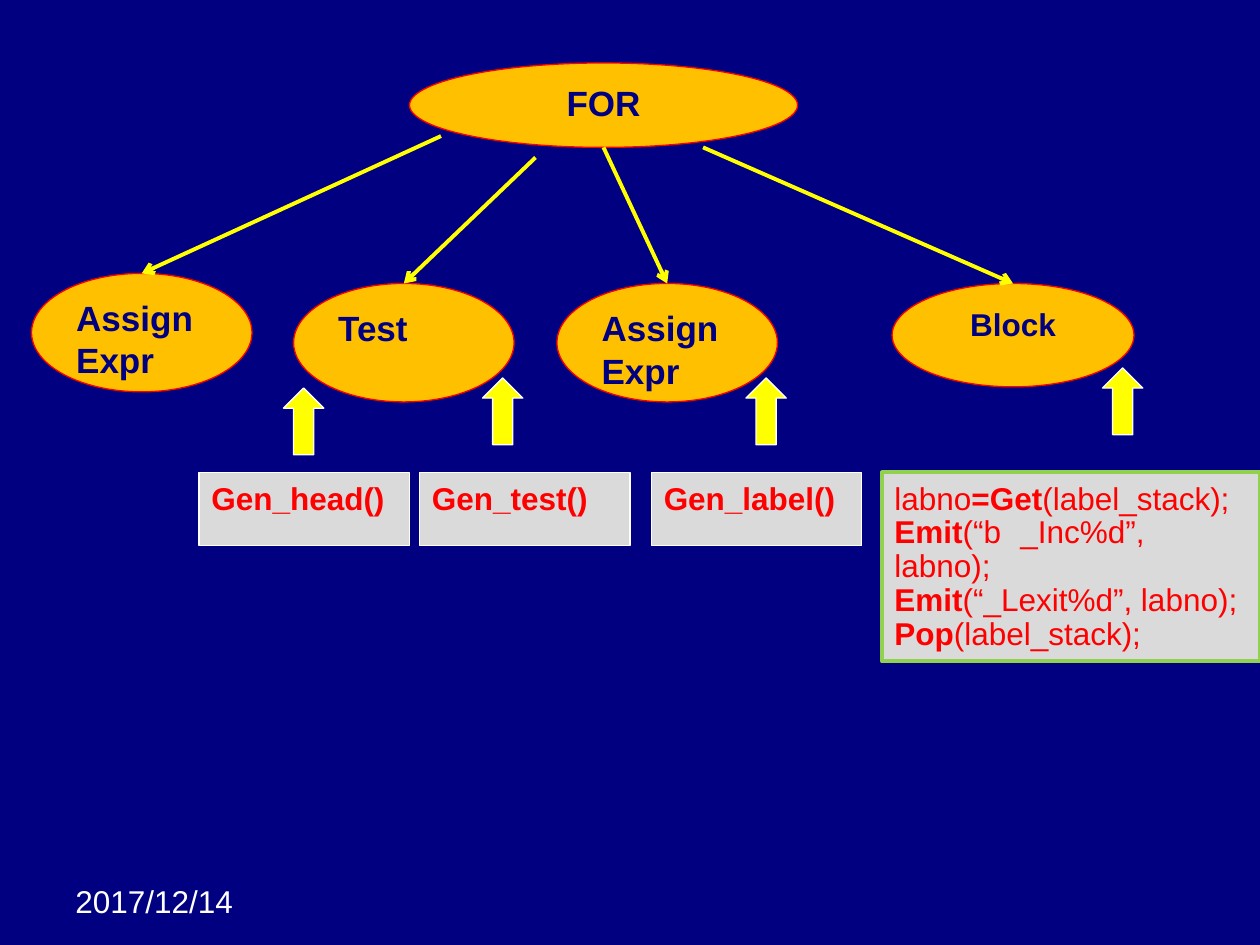
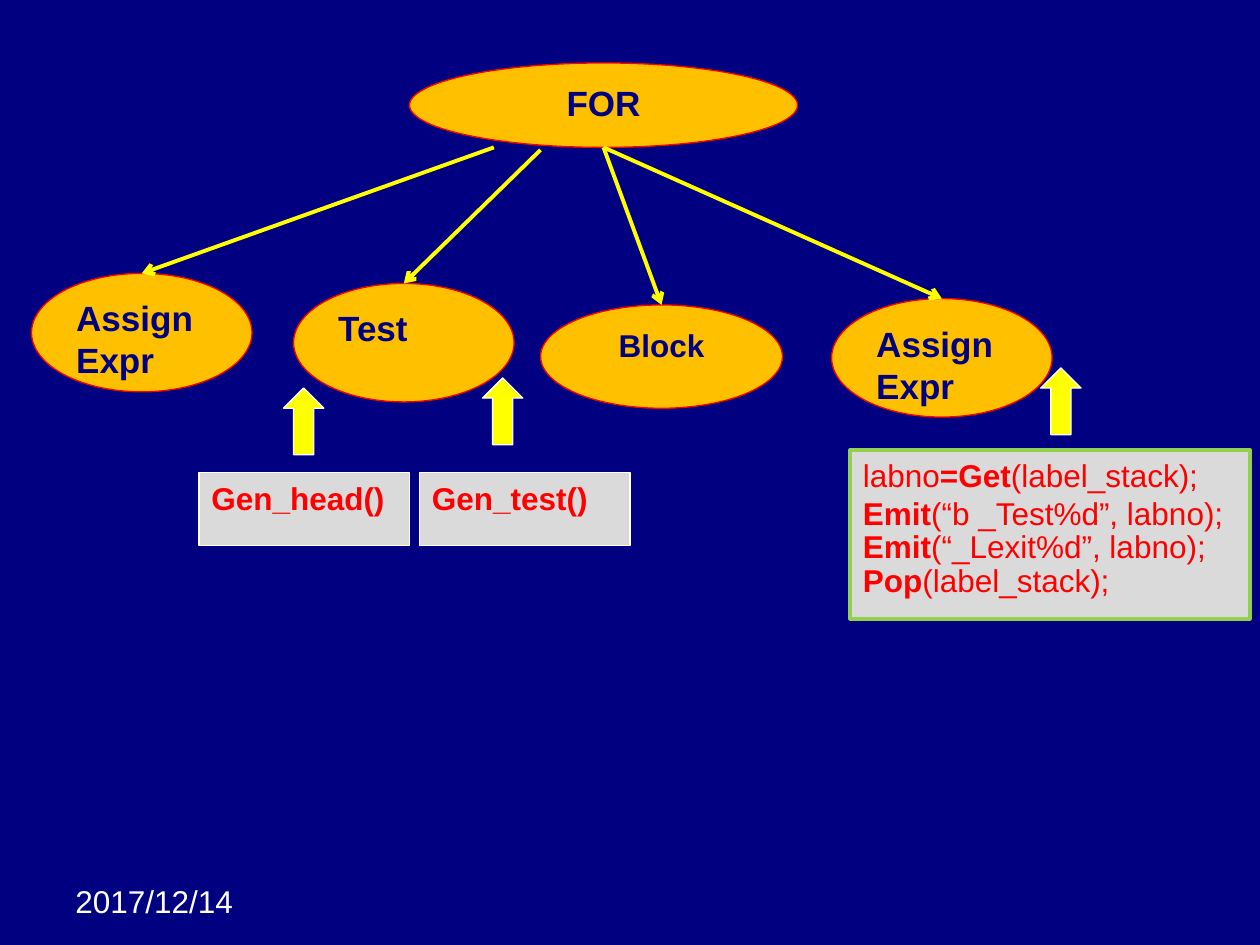
from dataclasses import dataclass

from lxml.etree import SubElement
from pptx import Presentation
from pptx.dml.color import RGBColor as RGB
from pptx.enum.shapes import MSO_CONNECTOR as LINK, MSO_SHAPE as SHAPE
from pptx.enum.text import MSO_ANCHOR as ANCHOR, PP_ALIGN as ALIGN
from pptx.oxml.ns import qn
from pptx.util import Inches, Pt


@dataclass(frozen=True)
class Theme:
    navy: RGB = RGB(0x00, 0x00, 0x80)
    amber: RGB = RGB(0xFF, 0xC0, 0x00)
    red: RGB = RGB(0xFF, 0x00, 0x00)
    yellow: RGB = RGB(0xFF, 0xFF, 0x00)
    grey: RGB = RGB(0xDA, 0xDA, 0xDA)
    green: RGB = RGB(0x92, 0xD0, 0x50)
    white: RGB = RGB(0xFF, 0xFF, 0xFF)
    font: str = "Arial"
    node_size: Pt = Pt(20)
    text_size: Pt = Pt(18)
    thin: Pt = Pt(0.75)
    thick: Pt = Pt(2.25)


theme = Theme()


def add_box(slide, kind, box, fill, outline, weight=theme.thin):
    """Add a flat preset shape; box is left, top, width, height in inches."""
    shape = slide.shapes.add_shape(kind, *map(Inches, box))
    shape.shadow.inherit = False
    shape.fill.solid()
    shape.fill.fore_color.rgb = fill
    shape.line.color.rgb = outline
    shape.line.width = weight
    return shape


def write(shape, lines, color, size, bold=None, align=ALIGN.LEFT, spacings=()):
    """Write one paragraph per line; text between asterisks is bold."""
    frame = shape.text_frame
    frame.word_wrap = True
    frame.vertical_anchor = ANCHOR.TOP
    for i, line in enumerate(lines):
        paragraph = frame.paragraphs[0] if i == 0 else frame.add_paragraph()
        paragraph.alignment = align
        if spacings:
            paragraph.line_spacing = spacings[i]
        font = paragraph.font
        font.name, font.size, font.bold = theme.font, size, bold
        font.color.rgb = color
        for j, part in enumerate(line.split("*")):
            if part:
                run = paragraph.add_run()
                run.text = part
                if j % 2:
                    run.font.bold = True


# Node styles: width, height, text size, alignment
operand = (1.75, 0.94, theme.node_size, ALIGN.LEFT)
block = (1.92, 0.82, theme.text_size, ALIGN.CENTER)
assign_lines = ["Assign", "Expr"]

# Children of FOR: lines, style, left, top, and where the branch starts
# Calls: label and left edge; markers: left and top of each up arrow
trees = [
    {
        "children": [
            (assign_lines, operand, 0.25, 2.17, (3.5, 1.08)),
            (["Block"], block, 7.08, 2.25, (5.58, 1.17)),
            (["Test"], operand, 2.33, 2.25, (4.25, 1.25)),
            (assign_lines, operand, 4.42, 2.25, (4.79, 1.17)),
        ],
        "calls": [("Gen_head()", 1.58), ("Gen_test()", 3.33), ("Gen_label()", 5.17)],
        "markers": [(2.25, 3.08), (3.83, 3), (5.92, 3), (8.75, 2.92)],
        "code_box": (7, 3.75, 3, 1.5),
        "code": [
            "labno*=Get*(label_stack);",
            "*Emit*(“b\t_Inc%d”, labno);",
            "*Emit*(“_Lexit%d”, labno); *Pop*(label_stack);",
        ],
        "spacings": (1.0, 0.9, 0.9),
    },
    {
        "children": [
            (assign_lines, operand, 0.25, 2.17, (3.92, 1.17)),
            (["Block"], block, 4.29, 2.42, (4.79, 1.17)),
            (["Test"], operand, 2.33, 2.25, (4.29, 1.19)),
            (assign_lines, operand, 6.6, 2.37, (4.79, 1.17)),
        ],
        "calls": [("Gen_head()", 1.58), ("Gen_test()", 3.33)],
        "markers": [(2.25, 3.08), (3.83, 3), (8.26, 2.92)],
        "code_box": (6.75, 3.57, 3.17, 1.34),
        "code": [
            "labno*=Get*(label_stack);",
            "*Emit*(“b _Test%d”, labno);",
            "*Emit*(“_Lexit%d”, labno); *Pop*(label_stack);",
        ],
        "spacings": (1.0, 1.0, 0.9),
    },
]

# Presentation and shared background
prs = Presentation()
prs.slide_width, prs.slide_height = Inches(10), Inches(7.5)
background = prs.slide_master.background.fill
background.solid()
background.fore_color.rgb = theme.navy

for tree in trees:
    slide = prs.slides.add_slide(prs.slide_layouts[6])

    # Date footer
    date = slide.shapes.add_textbox(*map(Inches, (0.5, 6.95, 1.58, 0.4)))
    write(date, ["2017/12/14"], theme.white, theme.text_size)

    # Root node
    root = add_box(slide, SHAPE.OVAL, (3.25, 0.5, 3.08, 0.67), theme.amber, theme.red)
    write(root, ["FOR"], theme.navy, theme.node_size, True, ALIGN.CENTER)

    # Child nodes, each with its branch from the root
    for lines, (width, height, size, align), left, top, start in tree["children"]:
        child = add_box(slide, SHAPE.OVAL, (left, top, width, height),
                        theme.amber, theme.red)
        write(child, lines, theme.navy, size, True, align)
        branch = slide.shapes.add_connector(
            LINK.STRAIGHT, *map(Inches, (*start, left + width / 2, top)))
        branch.end_connect(child, 0)
        branch.line.color.rgb = theme.yellow
        branch.line.width = theme.thick
        SubElement(branch.line._get_or_add_ln(), qn("a:tailEnd"), type="arrow")
        SubElement(branch._element.spPr, qn("a:effectLst"))

    # Up arrows marking where code is generated
    for left, top in tree["markers"]:
        add_box(slide, SHAPE.UP_ARROW, (left, top, 0.32, 0.53),
                theme.yellow, theme.white)

    # Generator calls
    for label, left in tree["calls"]:
        call = add_box(slide, SHAPE.RECTANGLE, (left, 3.75, 1.67, 0.58),
                       theme.grey, theme.white)
        write(call, [label], theme.red, theme.text_size, True)

    # Code emitted at the end of the loop
    code = add_box(slide, SHAPE.RECTANGLE, tree["code_box"],
                   theme.grey, theme.green, theme.thick)
    write(code, tree["code"], theme.red, theme.text_size, spacings=tree["spacings"])

prs.save("out.pptx")
